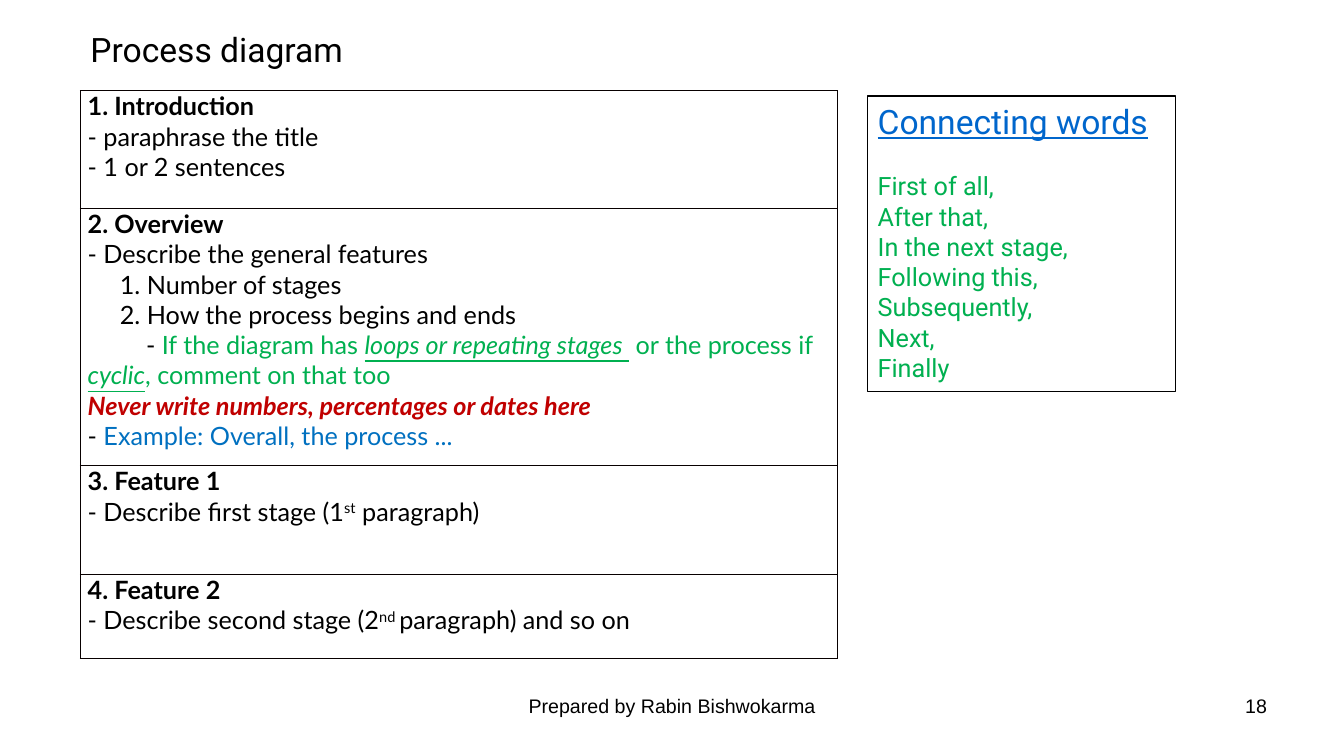
"""Build the process diagram slide: essay structure table and connecting words."""
import lxml.etree
import pptx
import pptx.dml.color
import pptx.enum.shapes
import pptx.enum.text
import pptx.oxml.ns
import pptx.util

Cm = pptx.util.Cm
Pt = pptx.util.Pt
ALIGN = pptx.enum.text.PP_ALIGN

THEME = {
    "black": "000000", "green": "00B050", "red": "C00000", "blue": "0070C0",
    "link": "0066CC", "border": "080000",
    "display": "Roboto", "body": "Lato", "footer": "Arial",
    "heading_size": 24, "body_size": 18, "footer_size": 14,
}

STYLES = {
    "plain": {},
    "bold": {"bold": True},
    "green": {"color": "green"},
    "green underline": {"color": "green", "underline": True},
    "green term": {"color": "green", "underline": True, "italic": True},
    "warning": {"color": "red", "bold": True, "italic": True},
    "example": {"color": "blue"},
    "superscript": {"raised": True},
}

TITLE = "Process diagram"
FOOTER = "Prepared by Rabin Bishwokarma"
PAGE_NUMBER = "18"
LIST_INDENT = 0.81
NOTE_INDENT = 1.47

SECTIONS = [
    (2.97, [
        (0, [("1. Introduction", "bold")]),
        (0, [("- paraphrase the title", "plain")]),
        (0, [("- 1 or 2 sentences", "plain")]),
    ]),
    (6.48, [
        (0, [("2. Overview", "bold")]),
        (0, [("- Describe the general features", "plain")]),
        (LIST_INDENT, [("1. Number of stages", "plain")]),
        (LIST_INDENT, [("2. How the process begins and ends", "plain")]),
        (NOTE_INDENT, [
            ("- ", "plain"), ("If the diagram has ", "green"),
            ("loops or repeating stages", "green term"), (" ", "green underline"),
            (" or the process if ", "green"), ("cyclic", "green term"),
            (", comment on that too", "green"),
        ]),
        (0, [("Never write numbers, percentages or dates here", "warning")]),
        (0, [("- ", "plain"), ("Example: Overall, the process ...", "example")]),
    ]),
    (2.74, [
        (0, [("3. Feature 1", "bold")]),
        (0, [("- Describe first stage (1", "plain"), ("st", "superscript"),
             (" paragraph)", "plain")]),
    ]),
    (2.11, [
        (0, [("4. Feature 2", "bold")]),
        (0, [("- Describe second stage (2", "plain"), ("nd ", "superscript"),
             ("paragraph) and so on", "plain")]),
    ]),
]

CONNECTING_TITLE = "Connecting words"
CONNECTING_WORDS = ["First of all,", "After that,", "In the next stage,",
                    "Following this,", "Subsequently,", "Next,", "Finally"]


def rgb(name):
    return pptx.dml.color.RGBColor.from_string(THEME[name])


def format_run(run, typeface, size, color="black", bold=False, italic=False,
               underline=False, raised=False):
    font = run.font
    font.name = THEME[typeface]
    font.size = Pt(THEME[size])
    font.color.rgb = rgb(color)
    font.bold, font.italic, font.underline = bold, italic, underline
    if raised:
        run._r.get_or_add_rPr().set("baseline", "30000")


def write_line(paragraph, text, typeface, size, align=ALIGN.LEFT, **style):
    paragraph.text = text
    paragraph.alignment = align
    format_run(paragraph.runs[0], typeface, size, **style)


def add_label(slide, box, text, typeface, size, align=ALIGN.LEFT):
    shape = slide.shapes.add_textbox(*[Cm(length) for length in box])
    shape.text_frame.word_wrap = True
    write_line(shape.text_frame.paragraphs[0], text, typeface, size, align)


def add_border(cell):
    properties = cell._tc.get_or_add_tcPr()
    for position, side in enumerate(("a:lnL", "a:lnR", "a:lnT", "a:lnB")):
        line = lxml.etree.Element(pptx.oxml.ns.qn(side), w=str(Pt(1)))
        fill = lxml.etree.SubElement(line, pptx.oxml.ns.qn("a:solidFill"))
        lxml.etree.SubElement(fill, pptx.oxml.ns.qn("a:srgbClr"), val=THEME["border"])
        properties.insert(position, line)


def fill_cell(cell, lines):
    cell.margin_left = cell.margin_right = Cm(0.18)
    cell.margin_top = cell.margin_bottom = 0
    cell.fill.background()
    add_border(cell)
    for number, (indent, runs) in enumerate(lines):
        frame = cell.text_frame
        paragraph = frame.add_paragraph() if number else frame.paragraphs[0]
        paragraph._p.get_or_add_pPr().set("indent", str(Cm(indent)))
        for text, style in runs:
            run = paragraph.add_run()
            run.text = text
            format_run(run, "body", "body_size", **STYLES[style])


def add_structure_table(slide):
    height = sum(row_height for row_height, lines in SECTIONS)
    frame = slide.shapes.add_table(len(SECTIONS), 1, Cm(2.03), Cm(2.29),
                                   Cm(19.08), Cm(height))
    table = frame.table
    table.first_row = table.horz_banding = False
    for row, (row_height, lines) in zip(table.rows, SECTIONS):
        row.height = Cm(row_height)
        fill_cell(row.cells[0], lines)


def add_connecting_words(slide):
    shape = slide.shapes.add_shape(pptx.enum.shapes.MSO_SHAPE.RECTANGLE,
                                   Cm(21.87), Cm(2.42), Cm(7.75), Cm(7.44))
    shape.shadow.inherit = False
    shape.fill.background()
    shape.line.color.rgb = rgb("black")
    shape.line.width = Pt(0.75)
    frame = shape.text_frame
    frame.word_wrap = True
    frame.vertical_anchor = pptx.enum.text.MSO_ANCHOR.TOP
    heading = frame.paragraphs[0]
    write_line(heading, CONNECTING_TITLE, "display", "heading_size",
               color="link", underline=True)
    heading.space_after = Pt(21)
    for words in CONNECTING_WORDS:
        write_line(frame.add_paragraph(), words, "display", "body_size", color="green")


def main():
    presentation = pptx.Presentation()
    presentation.slide_width = Cm(33.87)
    presentation.slide_height = Cm(19.05)
    slide = presentation.slides.add_slide(presentation.slide_layouts[6])
    add_label(slide, (2.03, 0.61, 16.36, 1.28), TITLE, "display", "heading_size")
    add_structure_table(slide)
    add_connecting_words(slide)
    add_label(slide, (24.28, 17.35, 7.9, 1.32), PAGE_NUMBER, "footer", "footer_size",
              ALIGN.RIGHT)
    add_label(slide, (11.58, 17.35, 10.72, 1.32), FOOTER, "footer", "footer_size",
              ALIGN.CENTER)
    presentation.save("out.pptx")


if __name__ == "__main__":
    main()
